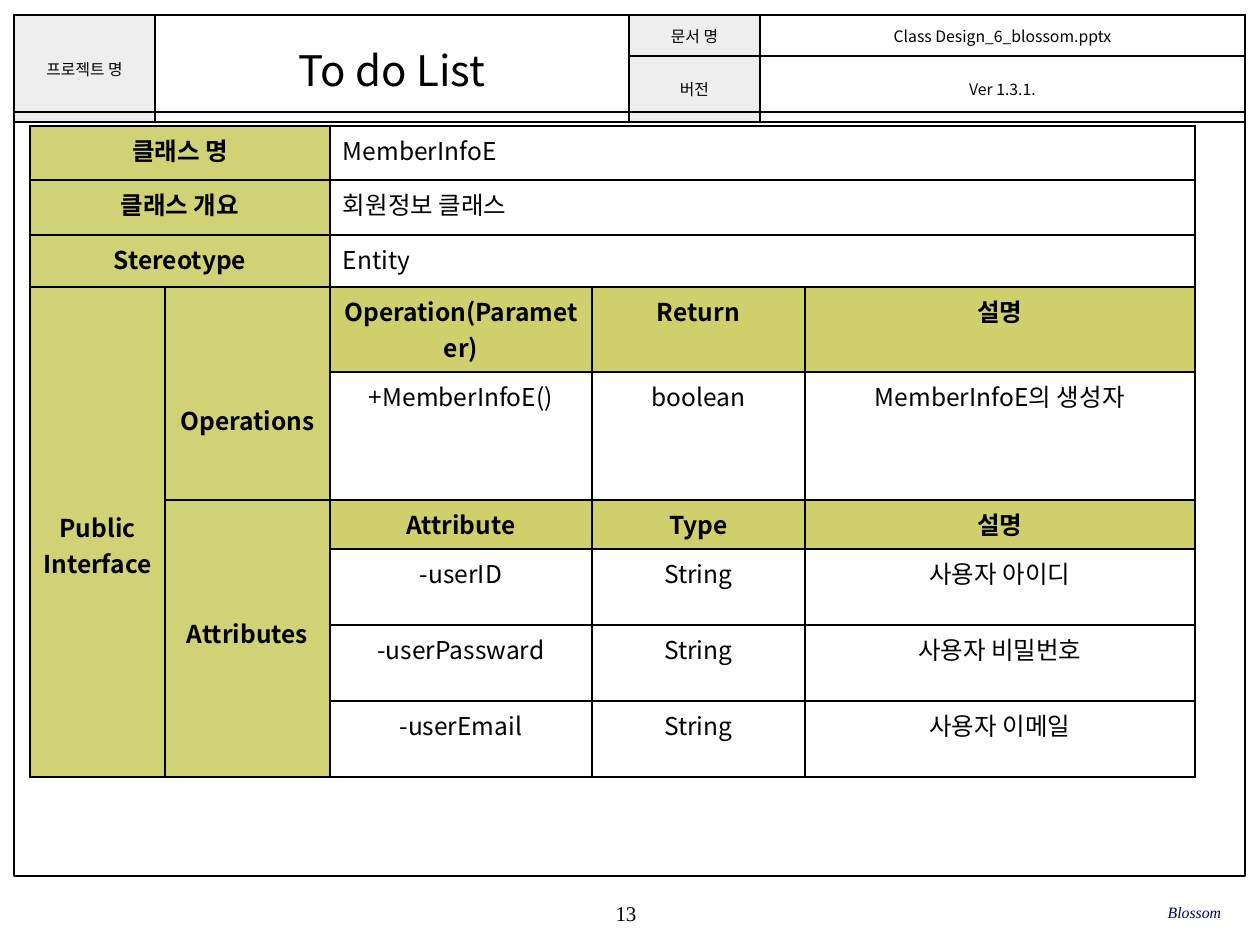
from lxml import etree
from pptx import Presentation
from pptx import util as u
from pptx.dml.color import RGBColor
from pptx.enum import shapes, text
from pptx.oxml.ns import qn

SCALE = 914400 / 126
SANS, SERIF = "Noto Sans CJK KR", "Times New Roman"
COLORS = {
    "ink": "000000", "navy": "000066", "white": "FFFFFF",
    "gray": "EEEEEE", "label": "D1D175", "heading": "CFCF6B",
}
LEFT, CENTER, RIGHT = text.PP_ALIGN.LEFT, text.PP_ALIGN.CENTER, text.PP_ALIGN.RIGHT
TOP, MIDDLE = text.MSO_ANCHOR.TOP, text.MSO_ANCHOR.MIDDLE

CLASS_FACTS = [
    ("클래스 명", "MemberInfoE"),
    ("클래스 개요", "회원정보 클래스"),
    ("Stereotype", "Entity"),
]
MEMBER_ROWS = [
    ("Operation(Parameter)", "Return", "설명"),
    ("+MemberInfoE()", "boolean", "MemberInfoE의 생성자"),
    ("Attribute", "Type", "설명"),
    ("-userID", "String", "사용자 아이디"),
    ("-userPassward", "String", "사용자 비밀번호"),
    ("-userEmail", "String", "사용자 이메일"),
]
HEADING_ROWS = (0, 2)


def px(n):
    return u.Emu(round(n * SCALE))


def rgb(name):
    return RGBColor.from_string(COLORS[name])


def write(tf, words, size, align=CENTER, font=SANS, color="ink", bold=False, italic=False):
    tf.text = words
    for p in tf.paragraphs:
        p.alignment = align
        for r in p.runs:
            r.font.size, r.font.name = u.Pt(size), font
            r.font.bold, r.font.italic = bold, italic
            r.font.color.rgb = rgb(color)
            etree.SubElement(r.font._element, qn("a:ea"), typeface=font)


def set_margins(item, left, top, right, bottom):
    item.margin_left, item.margin_top = px(left), px(top)
    item.margin_right, item.margin_bottom = px(right), px(bottom)


def add_borders(cell):
    tc_pr = cell._tc.get_or_add_tcPr()
    for i, side in enumerate(("lnL", "lnR", "lnT", "lnB")):
        ln = etree.Element(qn(f"a:{side}"), w=str(u.Pt(1)))
        fill = etree.SubElement(ln, qn("a:solidFill"))
        etree.SubElement(fill, qn("a:srgbClr"), val=COLORS["ink"])
        tc_pr.insert(i, ln)


def add_grid(slide, left, top, widths, heights):
    """Add an unfilled table with every cell bordered."""
    frame = slide.shapes.add_table(len(heights), len(widths), px(left), px(top),
                                   px(sum(widths)), px(sum(heights)))
    table = frame.table
    table.first_row = table.horz_banding = False
    for column, width in zip(table.columns, widths):
        column.width = px(width)
    for row, height in zip(table.rows, heights):
        row.height = px(height)
    for cell in table.iter_cells():
        cell.fill.background()
        add_borders(cell)
    return table


def fill_cell(table, row, col, words, size, fill=None, span=(1, 1), margins=(13, 6, 13, 6),
              anchor=TOP, align=CENTER, bold=False):
    cell = table.cell(row, col)
    if span != (1, 1):
        cell.merge(table.cell(row + span[0] - 1, col + span[1] - 1))
    if fill:
        cell.fill.solid()
        cell.fill.fore_color.rgb = rgb(fill)
    set_margins(cell, *margins)
    cell.vertical_anchor = anchor
    write(cell.text_frame, words, size, align, bold=bold)


def add_text(slide, left, top, width, height, words, size, **style):
    tf = slide.shapes.add_textbox(px(left), px(top), px(width), px(height)).text_frame
    tf.word_wrap = True
    tf.vertical_anchor = MIDDLE
    set_margins(tf, 0, 0, 0, 0)
    write(tf, words, size, font=SERIF, **style)


def add_header(slide):
    table = add_grid(slide, 14, 15, [141, 474, 131, 485], [41, 66])
    cells = [
        (0, 0, "프로젝트 명", 9, "gray", (2, 1)),
        (0, 1, "To do List", 24, None, (2, 1)),
        (0, 2, "문서 명", 9, "gray", (1, 1)),
        (0, 3, "Class Design_6_blossom.pptx", 9, None, (1, 1)),
        (1, 2, "버전", 9, "gray", (1, 1)),
        (1, 3, "Ver 1.3.1.", 9, None, (1, 1)),
    ]
    for cell in cells:
        fill_cell(table, *cell, margins=(5, 3, 5, 3), anchor=MIDDLE)


def add_frame(slide):
    sp = slide.shapes.add_shape(shapes.MSO_SHAPE.RECTANGLE, px(14), px(112), px(1231), px(764))
    sp.shadow.inherit = False
    sp.fill.background()
    sp.line.color.rgb = rgb("ink")
    sp.line.width = u.Pt(0.75)


def add_class_table(slide):
    table = add_grid(slide, 30, 126, [135, 165, 262, 213, 390],
                     [54, 55, 52, 85, 128, 49, 76, 76, 76])
    for row, (label, value) in enumerate(CLASS_FACTS):
        fill_cell(table, row, 0, label, 14, "label", (1, 2), bold=True)
        fill_cell(table, row, 2, value, 14, "white", (1, 3), align=LEFT)

    first = len(CLASS_FACTS)
    groups = [
        (first, 0, "Public\nInterface", (6, 1), 222),
        (first, 1, "Operations", (2, 1), 115),
        (first + 2, 1, "Attributes", (4, 1), 115),
    ]
    for row, col, label, span, inset in groups:
        fill_cell(table, row, col, label, 14, "label", span, (6, inset, 6, 6), bold=True)

    for i, words in enumerate(MEMBER_ROWS):
        heading = i in HEADING_ROWS
        for j, word in enumerate(words):
            fill_cell(table, first + i, 2 + j, word, 14,
                      "heading" if heading else "white", bold=heading)


def main():
    prs = Presentation()
    prs.slide_width, prs.slide_height = px(1260), px(945)
    slide = prs.slides.add_slide(prs.slide_layouts[6])
    add_text(slide, 495, 892, 262, 42, "13", 12)
    add_header(slide)
    add_frame(slide)
    add_text(slide, 835, 891, 386, 42, "Blossom", 9, align=RIGHT, color="navy", italic=True)
    add_class_table(slide)
    prs.save("out.pptx")


if __name__ == "__main__":
    main()
